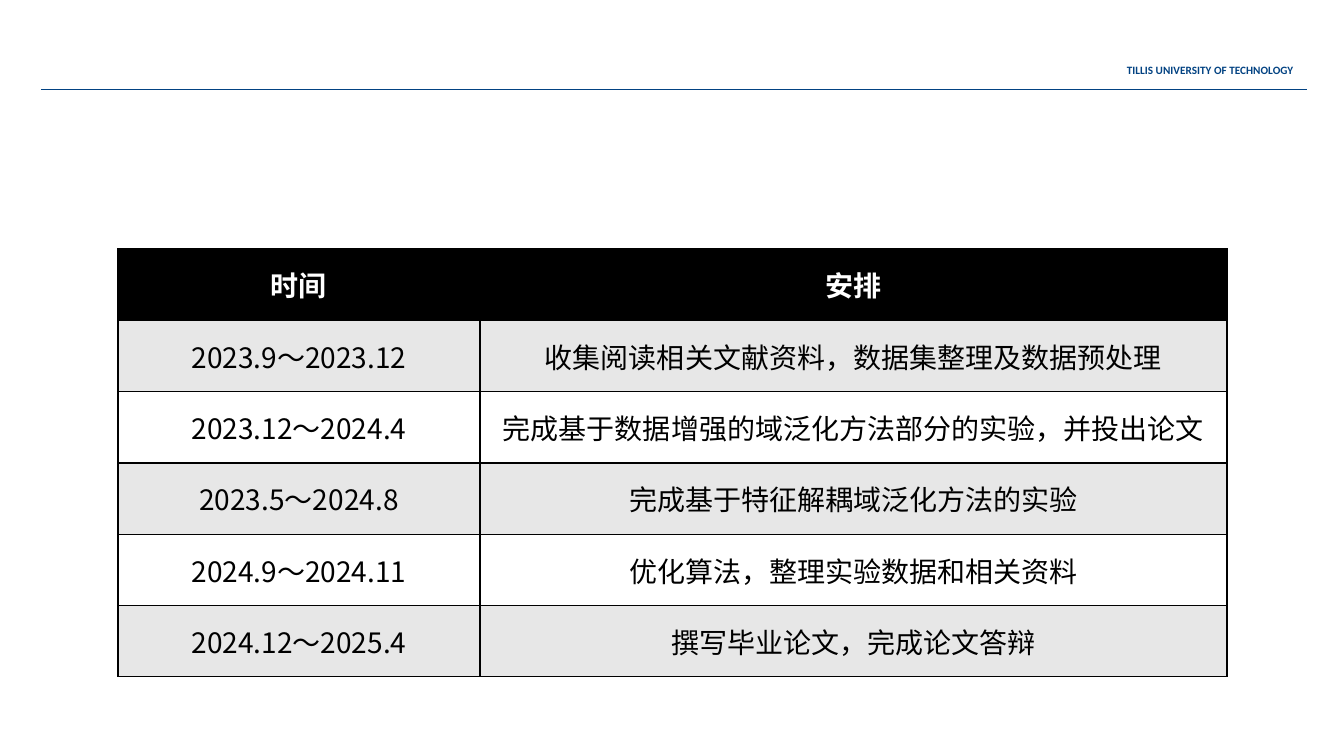
from lxml import etree
from pptx import Presentation
from pptx.dml.color import RGBColor
from pptx.enum.shapes import MSO_CONNECTOR
from pptx.enum.text import MSO_ANCHOR, PP_ALIGN
from pptx.oxml.ns import qn
from pptx.util import Emu, Pt

STRAIGHT = MSO_CONNECTOR.STRAIGHT
MIDDLE = MSO_ANCHOR.MIDDLE
CENTER, JUSTIFY = PP_ALIGN.CENTER, PP_ALIGN.JUSTIFY

PX = 914400 / 100.8
COLORS = {"navy": "024282", "black": "000000", "white": "FFFFFF", "gray": "E7E7E7"}
SCHEDULE = [
    ("时间", "安排"),
    ("2023.9～2023.12", "收集阅读相关文献资料，数据集整理及数据预处理"),
    ("2023.12～2024.4", "完成基于数据增强的域泛化方法部分的实验，并投出论文"),
    ("2023.5～2024.8", "完成基于特征解耦域泛化方法的实验"),
    ("2024.9～2024.11", "优化算法，整理实验数据和相关资料"),
    ("2024.12～2025.4", "撰写毕业论文，完成论文答辩"),
]


def px(n):
    return Emu(round(n * PX))


def rgb(name):
    return RGBColor.from_string(COLORS[name])


def write(tf, text, align, color, **font):
    p = tf.paragraphs[0]
    p.alignment = align
    r = p.add_run()
    r.text = text
    for key, value in font.items():
        setattr(r.font, key, value)
    r.font.color.rgb = rgb(color)
    ea = etree.SubElement(r.font._element, qn("a:ea"))
    ea.set("typeface", font["name"])


def add_borders(cell):
    tc_pr = cell._tc.get_or_add_tcPr()
    for i, side in enumerate(("lnL", "lnR", "lnT", "lnB")):
        ln = etree.Element(qn(f"a:{side}"), w=str(Pt(1)))
        fill = etree.SubElement(ln, qn("a:solidFill"))
        etree.SubElement(fill, qn("a:srgbClr"), val=COLORS["black"])
        tc_pr.insert(i, ln)


def add_header(slide, x, y, w, h):
    rule = slide.shapes.add_connector(STRAIGHT, px(x), px(y + h), px(x + w), px(y + h))
    rule.line.color.rgb = rgb("navy")
    rule.line.width = Pt(0.75)
    etree.SubElement(rule._element.spPr, qn("a:effectLst"))
    box = slide.shapes.add_textbox(px(x + w - 190), px(y), px(200), px(24))
    box.text_frame.word_wrap = True
    write(box.text_frame, "TILLIS UNIVERSITY OF TECHNOLOGY", JUSTIFY, "navy",
          name="Calibri", size=Pt(8), bold=True)


def add_schedule(slide, x, y, w, h):
    rows = len(SCHEDULE)
    table = slide.shapes.add_table(rows, 2, px(x), px(y), px(w), px(h)).table
    for col, width in zip(table.columns, (362, w - 362)):
        col.width = px(width)
    for i, entry in enumerate(SCHEDULE):
        table.rows[i].height = px(h / rows)
        head = i == 0
        shade = "black" if head else ("white", "gray")[i % 2]
        for j, text in enumerate(entry):
            cell = table.cell(i, j)
            cell.vertical_anchor = MIDDLE
            cell.fill.solid()
            cell.fill.fore_color.rgb = rgb(shade)
            add_borders(cell)
            write(cell.text_frame, text, CENTER, "white" if head else "black",
                  name="Noto Sans CJK SC", size=Pt(20), bold=head)


def main():
    prs = Presentation()
    prs.slide_width, prs.slide_height = px(1344), px(756)
    slide = prs.slides.add_slide(prs.slide_layouts[6])
    add_header(slide, 41, 58, 1266, 32)
    add_schedule(slide, 118, 249, 1109, 428)
    prs.save("out.pptx")


if __name__ == "__main__":
    main()
